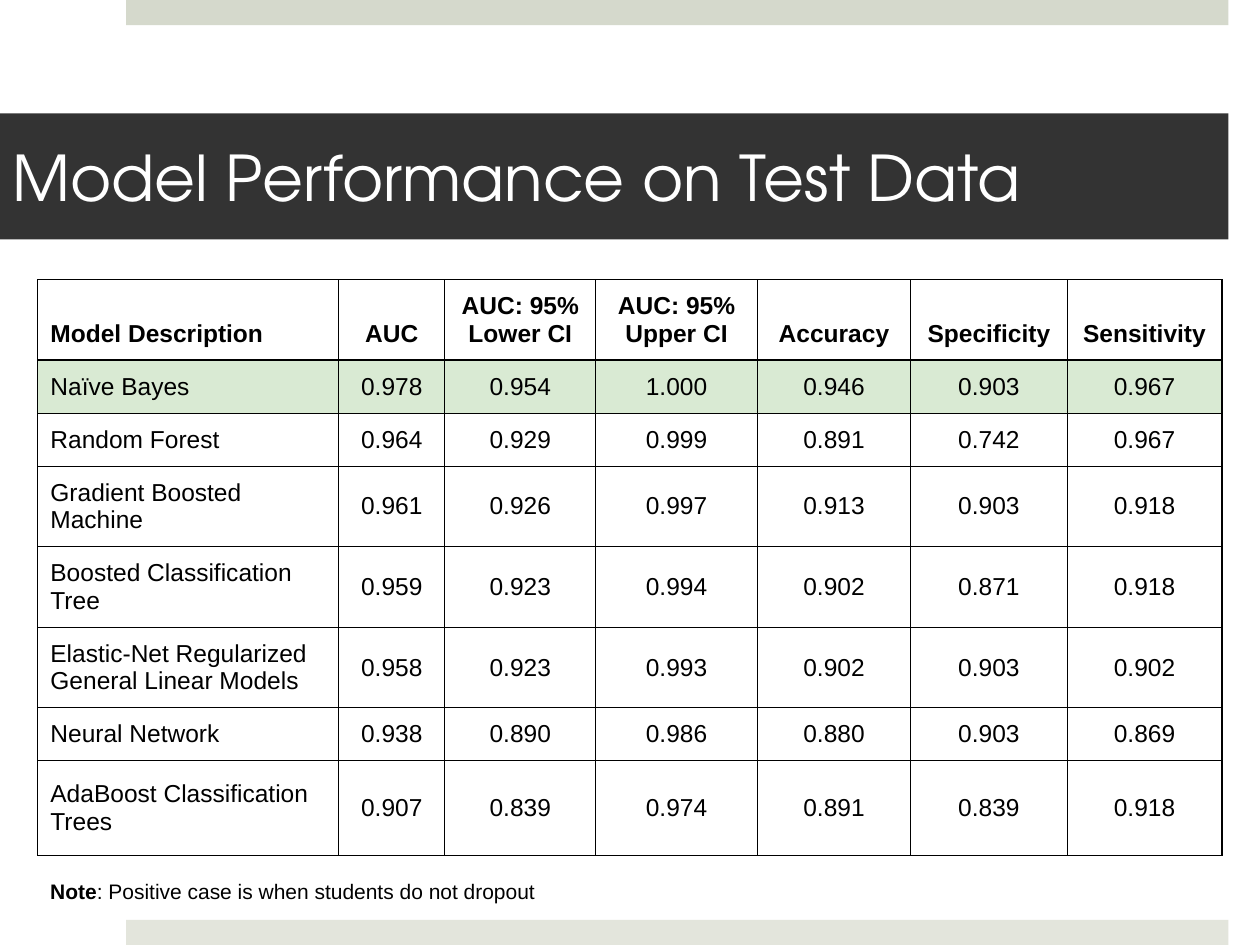
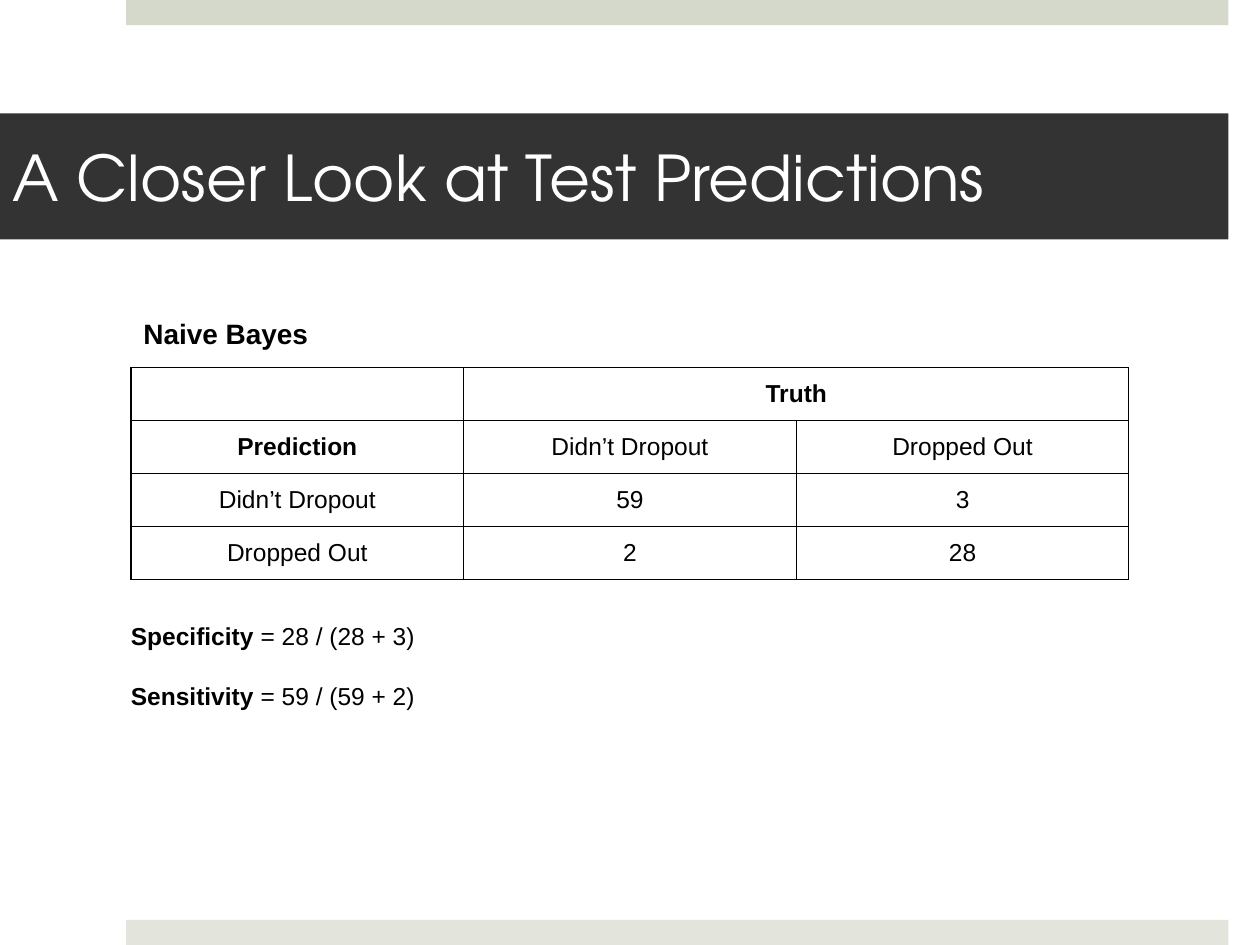
from dataclasses import dataclass
from typing import NamedTuple

from lxml import etree
from pptx import Presentation
from pptx.dml.color import RGBColor
from pptx.enum import shapes, text
from pptx.oxml import ns
from pptx.util import Inches, Pt


@dataclass(frozen=True)
class Theme:
    ink: RGBColor = RGBColor(0, 0, 0)
    white: RGBColor = RGBColor(255, 255, 255)
    title_fill: RGBColor = RGBColor.from_string("333333")
    best_row: RGBColor = RGBColor.from_string("D9EAD3")
    title_font: str = "TeX Gyre Adventor"
    body_font: str = "Arial"
    title_size: float = 36
    label_size: float = 16
    body_size: float = 14
    note_size: float = 12
    inset: float = 0.1
    thin: float = 0.75
    thick: float = 1.5


class Box(NamedTuple):
    left: float
    top: float
    width: float
    height: float

    def emu(self) -> list:
        return [Inches(v) for v in self]


class Band(NamedTuple):
    box: Box
    color: RGBColor


class Line(NamedTuple):
    bold: str
    plain: str = ""


@dataclass(frozen=True)
class Grid:
    left: float
    top: float
    cols: list[float]
    heights: list[float]
    rows: list[list[str]]


THEME = Theme()
TITLE_BOX = Box(0, 0.9, 9.75, 1)
BANDS = [
    Band(Box(1, 0, 8.75, 0.2), RGBColor.from_string("D5D9CC")),
    Band(Box(1, 7.3, 8.75, 0.2), RGBColor.from_string("E3E5DC")),
]
ONE_LINE, TWO_LINES = 0.42, 0.64

PERFORMANCE = Grid(
    0.3, 2.22,
    [2.39, 0.84, 1.2, 1.28, 1.22, 1.24, 1.23],
    [TWO_LINES, ONE_LINE, ONE_LINE, TWO_LINES, TWO_LINES, TWO_LINES, ONE_LINE, 0.75],
    [
        ["Model Description", "AUC", "AUC: 95% Lower CI", "AUC: 95% Upper CI",
         "Accuracy", "Specificity", "Sensitivity"],
        ["Naïve Bayes", "0.978", "0.954", "1.000", "0.946", "0.903", "0.967"],
        ["Random Forest", "0.964", "0.929", "0.999", "0.891", "0.742", "0.967"],
        ["Gradient Boosted Machine", "0.961", "0.926", "0.997", "0.913", "0.903", "0.918"],
        ["Boosted Classification Tree", "0.959", "0.923", "0.994", "0.902", "0.871", "0.918"],
        ["Elastic-Net Regularized General Linear Models",
         "0.958", "0.923", "0.993", "0.902", "0.903", "0.902"],
        ["Neural Network", "0.938", "0.890", "0.986", "0.880", "0.903", "0.869"],
        ["AdaBoost Classification Trees", "0.907", "0.839", "0.974", "0.891", "0.839", "0.918"],
    ],
)
CONFUSION = Grid(
    1.04, 2.92, [2.64] * 3, [ONE_LINE] * 4,
    [
        ["", "Truth", ""],
        ["Prediction", "Didn’t Dropout", "Dropped Out"],
        ["Didn’t Dropout", "59", "3"],
        ["Dropped Out", "2", "28"],
    ],
)


def set_insets(item) -> None:
    item.margin_left = item.margin_right = Inches(THEME.inset)
    item.margin_top = item.margin_bottom = Inches(THEME.inset)


def set_font(p, size: float, name: str = THEME.body_font, color: RGBColor = THEME.ink) -> None:
    p.font.size, p.font.name = Pt(size), name
    p.font.color.rgb = color


def add_slide(prs, title: str):
    s = prs.slides.add_slide(prs.slide_layouts[5])
    for band in BANDS:
        sp = s.shapes.add_shape(shapes.MSO_SHAPE.RECTANGLE, *band.box.emu())
        sp.shadow.inherit = False
        sp.fill.solid()
        sp.fill.fore_color.rgb = band.color
        sp.line.fill.background()
    sp = s.shapes.title
    sp.left, sp.top, sp.width, sp.height = TITLE_BOX.emu()
    sp.fill.solid()
    sp.fill.fore_color.rgb = THEME.title_fill
    tf = sp.text_frame
    tf.text = title
    tf.auto_size = text.MSO_AUTO_SIZE.NONE
    tf.vertical_anchor = text.MSO_ANCHOR.MIDDLE
    set_insets(tf)
    p = tf.paragraphs[0]
    p.alignment = text.PP_ALIGN.LEFT
    set_font(p, THEME.title_size, THEME.title_font, THEME.white)
    return s


def add_text(s, box: Box, lines: list[Line], size: float, gap: float = 0) -> None:
    tf = s.shapes.add_textbox(*box.emu()).text_frame
    tf.word_wrap = True
    set_insets(tf)
    for i, line in enumerate(lines):
        p = tf.paragraphs[0]
        if i:
            p = tf.add_paragraph()
            p.space_before = Pt(gap)
        set_font(p, size)
        for words, bold in ((line.bold, True), (line.plain, False)):
            if words:
                r = p.add_run()
                r.text, r.font.bold = words, bold


def set_borders(cell, top: float, bottom: float) -> None:
    tc_pr = cell._tc.get_or_add_tcPr()
    widths = {"L": THEME.thin, "R": THEME.thin, "T": top, "B": bottom}
    for side, width in widths.items():
        ln = etree.SubElement(tc_pr, ns.qn(f"a:ln{side}"), w=str(Pt(width)))
        fill = etree.SubElement(ln, ns.qn("a:solidFill"))
        etree.SubElement(fill, ns.qn("a:srgbClr"), val=str(THEME.ink))


def add_grid(s, grid: Grid, bold: set[str], rule_after: int = -1,
             best: int = -1, left_col: int = -1,
             anchor: text.MSO_ANCHOR = text.MSO_ANCHOR.TOP):
    box = Box(grid.left, grid.top, sum(grid.cols), sum(grid.heights))
    table = s.shapes.add_table(len(grid.rows), len(grid.cols), *box.emu()).table
    table.first_row = table.horz_banding = False
    for col, width in zip(table.columns, grid.cols):
        col.width = Inches(width)
    for i, (row, height) in enumerate(zip(table.rows, grid.heights)):
        row.height = Inches(height)
        for j, (cell, words) in enumerate(zip(row.cells, grid.rows[i])):
            set_borders(cell,
                        THEME.thick if i - 1 == rule_after >= 0 else THEME.thin,
                        THEME.thick if i == rule_after else THEME.thin)
            if i == best:
                cell.fill.solid()
                cell.fill.fore_color.rgb = THEME.best_row
            else:
                cell.fill.background()
            if not words:
                continue
            set_insets(cell)
            cell.vertical_anchor = text.MSO_ANCHOR.BOTTOM if i == rule_after else anchor
            cell.text = words
            p = cell.text_frame.paragraphs[0]
            p.alignment = text.PP_ALIGN.LEFT if j == left_col else text.PP_ALIGN.CENTER
            set_font(p, THEME.body_size)
            p.font.bold = words in bold
    return table


def performance_slide(prs) -> None:
    s = add_slide(prs, "Model Performance on Test Data")
    add_grid(s, PERFORMANCE, set(PERFORMANCE.rows[0]), rule_after=0, best=1,
             left_col=0, anchor=text.MSO_ANCHOR.MIDDLE)
    note = Line("Note", ": Positive case is when students do not dropout")
    add_text(s, Box(0.3, 6.87, 7.26, 0.54), [note], THEME.note_size)


def predictions_slide(prs) -> None:
    s = add_slide(prs, "A Closer Look at Test Predictions")
    table = add_grid(s, CONFUSION, {"Truth", "Prediction"})
    table.cell(0, 1).merge(table.cell(0, 2))
    add_text(s, Box(1.04, 2.41, 7.26, 0.38), [Line("Naive Bayes")], THEME.label_size)
    formulas = [Line("Specificity", " = 28 / (28 + 3)"), Line("Sensitivity", " = 59 / (59 + 2)")]
    add_text(s, Box(0.94, 4.83, 7.09, 0.83), formulas, THEME.body_size, gap=17.5)


def main() -> None:
    prs = Presentation()
    prs.slide_width, prs.slide_height = Inches(10), Inches(7.5)
    performance_slide(prs)
    predictions_slide(prs)
    prs.save("out.pptx")


if __name__ == "__main__":
    main()
